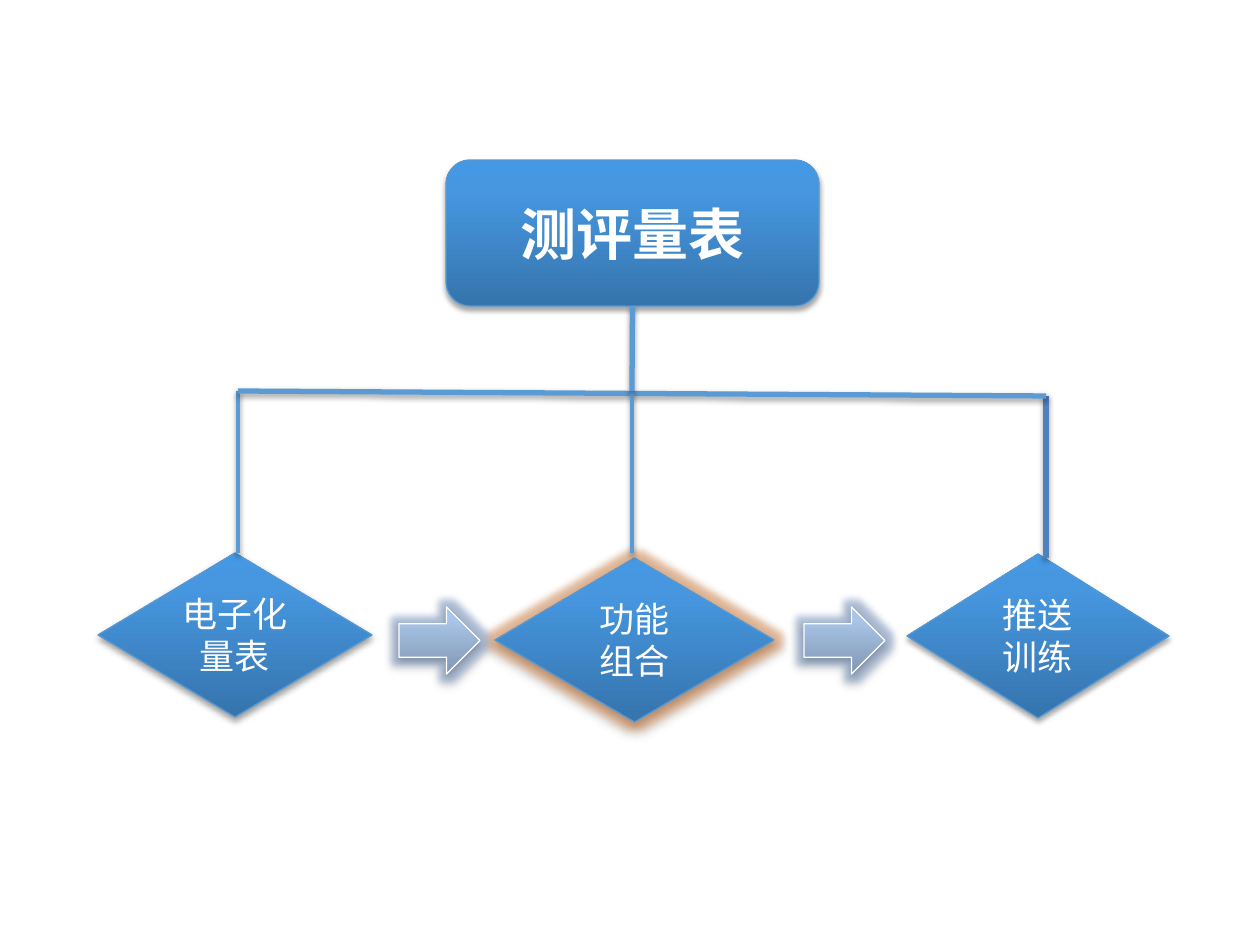
from copy import deepcopy
from dataclasses import dataclass

from lxml.etree import SubElement
from pptx import Presentation
from pptx.dml.color import RGBColor
from pptx.enum.shapes import MSO_CONNECTOR, MSO_SHAPE
from pptx.enum.text import MSO_ANCHOR, PP_ALIGN
from pptx.oxml.ns import qn
from pptx.util import Emu, Pt

PIXEL = 914400 / 126


@dataclass(frozen=True)
class Theme:
    font: str = "Calibri"
    title_size: int = 32
    label_size: int = 20
    text: str = "FFFFFF"
    node_gradient: tuple = ((0, "3674AD"), (0.8, "4697E0"), (1, "4498E4"))
    arrow_gradient: tuple = ((0, "8197B2"), (0.8, "A8C4E7"), (1, "A8C5E9"))
    node_line: str = "5698D3"
    arrow_line: str = "FFFFFF"
    branch: str = "5B9BD5"
    right_branch: str = "4F81BD"
    shadow: str = "000000"
    node_glow: str = "E07B2E"
    arrow_glow: str = "5F86BF"


def px(length):
    return Emu(round(length * PIXEL))


def apply_format(target, values):
    for name, value in values.items():
        setattr(target, name, value)


class DiagramSlide:
    """Draw the elements of a flow diagram on one blank slide."""

    def __init__(self, presentation, theme):
        self.theme = theme
        self.slide = presentation.slides.add_slide(presentation.slide_layouts[6])

    def add_effect(self, effects, kind, color, alpha, **attributes):
        values = {name: str(value) for name, value in attributes.items()}
        effect = SubElement(effects, qn(f"a:{kind}"), values)
        tint = SubElement(effect, qn("a:srgbClr"), val=color)
        SubElement(tint, qn("a:alpha"), val=str(alpha * 1000))

    def set_effects(self, properties, shadow, glow=None):
        effects = SubElement(properties, qn("a:effectLst"))
        if glow:
            self.add_effect(effects, "glow", glow, 40, rad=Pt(8))
        alpha, blur, distance = shadow
        self.add_effect(effects, "outerShdw", self.theme.shadow, alpha, blurRad=Pt(blur),
                        dist=Pt(distance), dir=90 * 60000, rotWithShape=0)

    def set_gradient(self, shape, stops):
        shape.fill.gradient()
        first_stop = shape.element.spPr.find(".//" + qn("a:gs"))
        first_stop.addnext(deepcopy(first_stop))
        for stop, (position, color) in zip(shape.fill.gradient_stops, stops):
            stop.position = position
            stop.color.rgb = RGBColor.from_string(color)
        shape.fill.gradient_angle = 90

    def set_line(self, line, color, width):
        line.color.rgb = RGBColor.from_string(color)
        line.width = Pt(width)

    def add_block(self, kind, box, gradient, line_color, shadow, glow=None):
        shape = self.slide.shapes.add_shape(kind, *map(px, box))
        self.set_gradient(shape, gradient)
        self.set_line(shape.line, line_color, 0.75)
        self.set_effects(shape.element.spPr, shadow, glow)
        return shape

    def add_node(self, kind, box, lines, size, shadow, bold=False, glow=None):
        theme = self.theme
        shape = self.add_block(kind, box, theme.node_gradient, theme.node_line, shadow, glow)
        frame = shape.text_frame
        apply_format(frame, {"word_wrap": True, "vertical_anchor": MSO_ANCHOR.MIDDLE})
        frame.text = "\n".join(lines)
        for paragraph in frame.paragraphs:
            paragraph.alignment = PP_ALIGN.CENTER
            font = paragraph.runs[0].font
            apply_format(font, {"name": theme.font, "size": Pt(size), "bold": bold})
            font.color.rgb = RGBColor.from_string(theme.text)
        return shape

    def add_arrow(self, left):
        theme = self.theme
        self.add_block(MSO_SHAPE.RIGHT_ARROW, (left, 607, 81, 67), theme.arrow_gradient,
                       theme.arrow_line, (38, 4, 2), theme.arrow_glow)

    def add_branch(self, points, color, width):
        connector = self.slide.shapes.add_connector(MSO_CONNECTOR.STRAIGHT, *map(px, points))
        self.set_line(connector.line, color, width)
        self.set_effects(connector.element.spPr, (38, 3.1, 1.6))
        return connector


def main():
    presentation = Presentation()
    apply_format(presentation, {"slide_width": px(1260), "slide_height": px(945)})
    theme = Theme()
    diagram = DiagramSlide(presentation, theme)

    root = diagram.add_node(MSO_SHAPE.FLOWCHART_ALTERNATE_PROCESS, (446, 160, 373, 146),
                            ["测评量表"], theme.title_size, (35, 3.1, 1.8), bold=True)
    steps = [
        ((98, 553, 274, 164), ["电子化", "量表"], (38, 4, 2), None),
        ((495, 558, 279, 164), ["功能", "组合"], (38, 4, 2), theme.node_glow),
        ((907, 554, 262, 164), ["推送", "训练"], (35, 3.1, 1.8), None),
    ]
    for box, lines, shadow, glow in steps:
        diagram.add_node(MSO_SHAPE.DIAMOND, box, lines, theme.label_size, shadow, glow=glow)
    for left in (399, 804):
        diagram.add_arrow(left)

    branches = [
        ((238, 391, 238, 553), theme.branch, 2.25),
        ((1046, 396, 1046, 558), theme.right_branch, 3),
        ((238, 391, 1046, 396), theme.branch, 3),
        ((632, 392, 632, 553), theme.branch, 2.25),
    ]
    for points, color, width in branches:
        diagram.add_branch(points, color, width)
    trunk = diagram.add_branch((632, 306, 632, 391), theme.branch, 3)
    trunk.begin_connect(root, 2)

    presentation.save("out.pptx")


if __name__ == "__main__":
    main()
